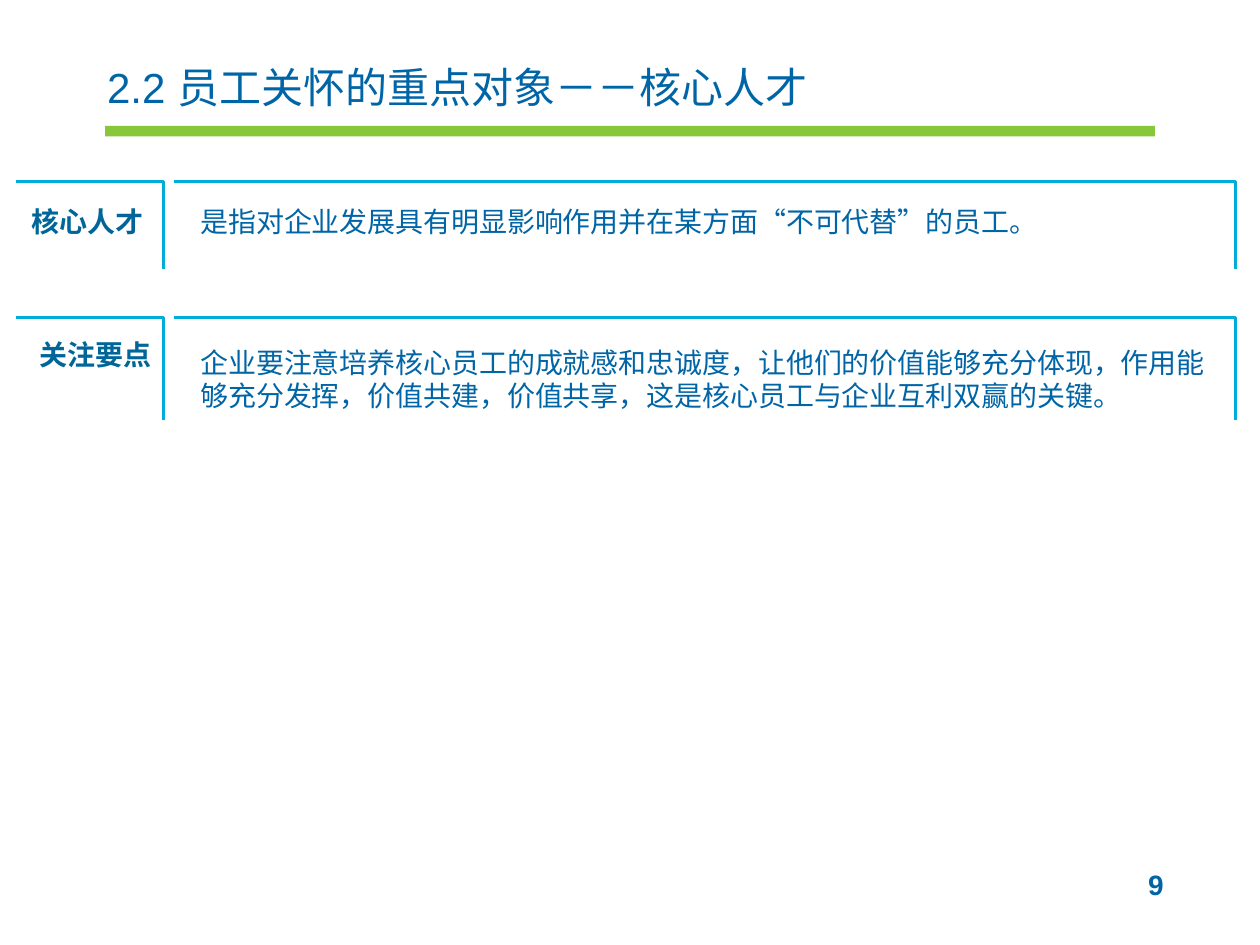
from dataclasses import dataclass

from lxml.etree import SubElement
from pptx import Presentation
from pptx.dml.color import RGBColor
from pptx.enum.shapes import MSO_SHAPE
from pptx.enum.text import MSO_ANCHOR, PP_ALIGN
from pptx.oxml.ns import qn
from pptx.slide import Slide
from pptx.text.text import TextFrame
from pptx.util import Pt

BLUE = RGBColor(0x00, 0x65, 0xA6)
LABEL_BLUE = RGBColor(0x00, 0x66, 0x99)
CYAN = RGBColor(0x00, 0xAD, 0xDA)
GREEN = RGBColor(0x88, 0xC6, 0x3A)
LATIN, CHINESE = "Arial", "Noto Sans CJK SC"

# Left and right edges of the two bracket columns, in points
BRACKET_COLUMNS = ((8.9, 93.6), (99.2, 705.9))
DEFINITION_LEFT, DEFINITION_WIDTH = 114.5, 584.6
LINE_HEIGHT = 19.2


@dataclass
class Topic:
    label: str
    label_left: float
    label_top: float
    label_width: float
    definition: str
    definition_top: float
    line_count: int
    bracket_top: float
    bracket_height: float


TOPICS = (
    Topic("核心人才", 8.6, 116.8, 82.8,
          "是指对企业发展具有明显影响作用并在某方面“不可代替”的员工。",
          116.8, 1, 103.7, 50),
    Topic("关注要点", 16.6, 193, 75.6,
          "企业要注意培养核心员工的成就感和忠诚度，让他们的价值能够充分体现，"
          "作用能够充分发挥，价值共建，价值共享，这是核心员工与企业互利双赢的关键。",
          197.2, 2, 181.4, 58.5),
)


def write(frame: TextFrame, text: str, size: float, color: RGBColor, latin: str,
          bold: bool = False, align: PP_ALIGN = PP_ALIGN.LEFT) -> None:
    frame.word_wrap = True
    frame.text = text
    paragraph = frame.paragraphs[0]
    paragraph.alignment = align
    font = paragraph.font
    font.size, font.bold, font.name = Pt(size), bold, latin
    font.color.rgb = color
    # East Asian typeface
    defaults = paragraph._p.pPr.find(qn("a:defRPr"))
    SubElement(defaults, qn("a:ea")).set("typeface", CHINESE)


def add_caption(slide: Slide, text: str, left: float, top: float, width: float,
                lines: int, color: RGBColor, bold: bool, align: PP_ALIGN) -> None:
    box = slide.shapes.add_textbox(Pt(left), Pt(top), Pt(width), Pt(lines * LINE_HEIGHT))
    frame = box.text_frame
    frame.margin_left = frame.margin_right = frame.margin_top = frame.margin_bottom = 0
    frame.vertical_anchor = MSO_ANCHOR.MIDDLE
    write(frame, text, 16, color, CHINESE, bold, align)
    frame.paragraphs[0].line_spacing = Pt(LINE_HEIGHT)


def add_bracket(slide: Slide, left: float, right: float, top: float, height: float) -> None:
    outline = slide.shapes.build_freeform(Pt(left), Pt(top))
    outline.add_line_segments(
        [(Pt(right), Pt(top)), (Pt(right), Pt(top + height))], close=False)
    bracket = outline.convert_to_shape()
    bracket.shadow.inherit = False
    bracket.fill.background()
    bracket.line.color.rgb = CYAN
    bracket.line.width = Pt(1.76)


def add_topic(slide: Slide, topic: Topic) -> None:
    add_caption(slide, topic.label, topic.label_left, topic.label_top, topic.label_width,
                1, LABEL_BLUE, True, PP_ALIGN.CENTER)
    add_caption(slide, topic.definition, DEFINITION_LEFT, topic.definition_top,
                DEFINITION_WIDTH, topic.line_count, BLUE, False, PP_ALIGN.LEFT)
    for left, right in BRACKET_COLUMNS:
        add_bracket(slide, left, right, topic.bracket_top, topic.bracket_height)


presentation = Presentation()
presentation.slide_width, presentation.slide_height = Pt(720), Pt(540)
slide = presentation.slides.add_slide(presentation.slide_layouts[5])

# Title with the green rule below it
title = slide.shapes.title
title.left, title.top, title.width, title.height = Pt(54), Pt(31.7), Pt(601.2), Pt(49.7)
title.text_frame.vertical_anchor = MSO_ANCHOR.TOP
write(title.text_frame, "2.2 员工关怀的重点对象－－核心人才", 24, BLUE, LATIN)

rule = slide.shapes.add_shape(MSO_SHAPE.RECTANGLE, Pt(60), Pt(72), Pt(600), Pt(6))
rule.shadow.inherit = False
rule.fill.solid()
rule.fill.fore_color.rgb = GREEN
rule.line.fill.background()

# Topics with their brackets
for topic in TOPICS:
    add_topic(slide, topic)

# Page number
page_number = slide.shapes.add_textbox(Pt(504), Pt(492), Pt(168), Pt(37.4))
write(page_number.text_frame, "9", 16, BLUE, LATIN, True, PP_ALIGN.RIGHT)

presentation.save("out.pptx")
